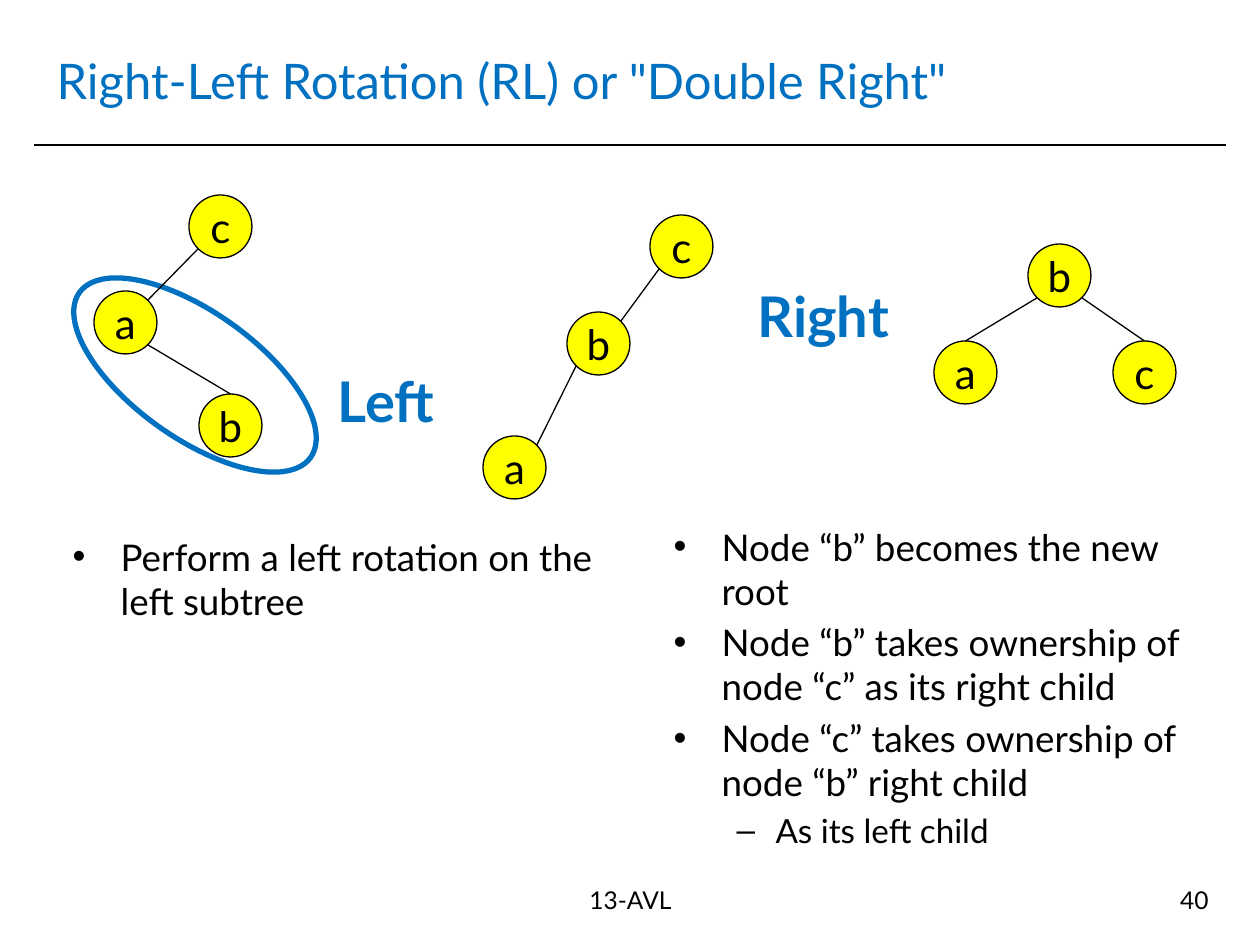
"""Build the slide on the right-left rotation of an AVL tree."""
from math import cos, radians, sin

from lxml import etree
from pptx import Presentation
from pptx.dml.color import RGBColor
from pptx.enum.shapes import MSO_CONNECTOR, MSO_SHAPE
from pptx.enum.text import MSO_ANCHOR, MSO_AUTO_SIZE, PP_ALIGN
from pptx.oxml.ns import qn
from pptx.util import Emu, Pt

LINE, OVAL = MSO_CONNECTOR.STRAIGHT, MSO_SHAPE.OVAL
MIDDLE, TOP = MSO_ANCHOR.MIDDLE, MSO_ANCHOR.TOP
LEFT, MID, RIGHT = PP_ALIGN.LEFT, PP_ALIGN.CENTER, PP_ALIGN.RIGHT
FIXED = MSO_AUTO_SIZE.NONE

THEME = {
    "font": "Lato", "ink": "000000", "blue": "0070C0", "node": "FFFF00",
    "title": 28, "label": 32, "letter": 24, "body": (21, 19), "foot": 14,
    "rule": 1, "edge": 0.75, "ring": 3, "gap": 0.2,
}

TITLE = 'Right-Left Rotation (RL) or "Double Right"'
TITLE_BOX = (44, 26, 1171, 107)
RULE = ((34, 145), (1226, 145))
RING, TILT = (53, 312, 284, 126), 215.5
LABELS = [("Left", (325, 353, 273, 95)), ("Right", (745, 268, 273, 95))]
FOOT = [("13-AVL", (422, 879, 417, 66), MID), ("40", (927, 879, 294, 66), RIGHT)]
SIZE = 63
ANGLES = {"top": -90, "top right": -45, "low right": 45, "low left": 135}
TREES = [
    ({"c": (189, 195), "a": (94, 291), "b": (199, 394)},
     [("c", "low left", "a", "top right"), ("a", "low right", "b", "top")]),
    ({"c": (650, 215), "b": (567, 312), "a": (483, 436)},
     [("c", "low left", "b", "top right"), ("b", "low left", "a", "top right")]),
    ({"b": (1028, 244), "a": (934, 341), "c": (1113, 341)},
     [("b", "low left", "a", "top"), ("b", "low right", "c", "top")]),
]
LISTS = [
    ((60, 528, 557, 136), [(0, "Perform a left rotation on the left subtree")]),
    ((661, 518, 557, 362), [
        (0, "Node “b” becomes the new root"),
        (0, "Node “b” takes ownership of node “c” as its right child"),
        (0, "Node “c” takes ownership of node “b” right child"),
        (1, "As its left child"),
    ]),
]
BULLETS = [("•", 48, 48), ("–", 102, 39)]


def px(num):
    return Emu(round(num * 914400 / 126))


def color(name):
    return RGBColor.from_string(THEME[name])


def place(shape, box):
    shape.left, shape.top, shape.width, shape.height = map(px, box)


def style(para, size, ink="ink", bold=False):
    for run in para.runs:
        font = run.font
        font.name, font.size, font.bold = THEME["font"], Pt(size), bold
        font.color.rgb = color(ink)


def write(shape, text, size, ink="ink", bold=False, align=LEFT, anchor=MIDDLE, wrap=True):
    frame = shape.text_frame
    frame.text = text
    frame.auto_size, frame.word_wrap = FIXED, wrap
    frame.vertical_anchor = anchor
    para = frame.paragraphs[0]
    para.alignment = align
    style(para, size, ink, bold)


def add_text(slide, box, *args, **opts):
    write(slide.shapes.add_textbox(*map(px, box)), *args, **opts)


def add_line(slide, start, end, width):
    line = slide.shapes.add_connector(LINE, *map(px, (*start, *end)))
    line.line.color.rgb, line.line.width = color("ink"), Pt(width)
    etree.SubElement(line._element.spPr, qn("a:effectLst"))


def add_oval(slide, box, ink, width, fill=None):
    oval = slide.shapes.add_shape(OVAL, *map(px, box))
    oval.shadow.inherit = False
    oval.line.color.rgb, oval.line.width = color(ink), Pt(width)
    if fill:
        oval.fill.solid()
        oval.fill.fore_color.rgb = color(fill)
    else:
        oval.fill.background()
    return oval


def rim(spot, side):
    turn, half = radians(ANGLES[side]), SIZE / 2
    return spot[0] + half * (1 + cos(turn)), spot[1] + half * (1 + sin(turn))


def add_tree(slide, nodes, edges):
    for name, spot in nodes.items():
        oval = add_oval(slide, (*spot, SIZE, SIZE), "ink", THEME["edge"], "node")
        write(oval, name, THEME["letter"], align=MID, wrap=False)
    for start, out, end, side in edges:
        add_line(slide, rim(nodes[start], out), rim(nodes[end], side), THEME["edge"])


def add_bullet(para, level):
    mark, margin, hang = BULLETS[level]
    props = para._p.get_or_add_pPr()
    props.set("marL", str(px(margin)))
    props.set("indent", str(px(-hang)))
    tint = etree.SubElement(props, qn("a:buClr"))
    etree.SubElement(tint, qn("a:srgbClr"), val=THEME["ink"])
    etree.SubElement(props, qn("a:buFont"), typeface="Arial")
    etree.SubElement(props, qn("a:buChar"), char=mark)


def fill_list(holder, box, items):
    place(holder, box)
    frame = holder.text_frame
    frame.text = "\n".join(text for _, text in items)
    frame.auto_size, frame.word_wrap, frame.vertical_anchor = FIXED, True, TOP
    for pos, (para, (level, _)) in enumerate(zip(frame.paragraphs, items)):
        size = THEME["body"][level]
        para.level = level
        add_bullet(para, level)
        para.space_before = Pt(size * THEME["gap"] if pos else 0)
        style(para, size)


def main():
    deck = Presentation()
    deck.slide_width, deck.slide_height = px(1260), px(945)
    slide = deck.slides.add_slide(deck.slide_layouts[3])
    title, *bodies = slide.placeholders
    place(title, TITLE_BOX)
    write(title, TITLE, THEME["title"], "blue")
    add_line(slide, *RULE, THEME["rule"])
    for text, box, align in FOOT:
        add_text(slide, box, text, THEME["foot"], align=align, anchor=TOP)
    for text, box in LABELS:
        add_text(slide, box, text, THEME["label"], "blue", True)
    add_oval(slide, RING, "blue", THEME["ring"]).rotation = TILT
    for nodes, edges in TREES:
        add_tree(slide, nodes, edges)
    for holder, (box, items) in zip(bodies, LISTS):
        fill_list(holder, box, items)
    deck.save("out.pptx")


if __name__ == "__main__":
    main()
